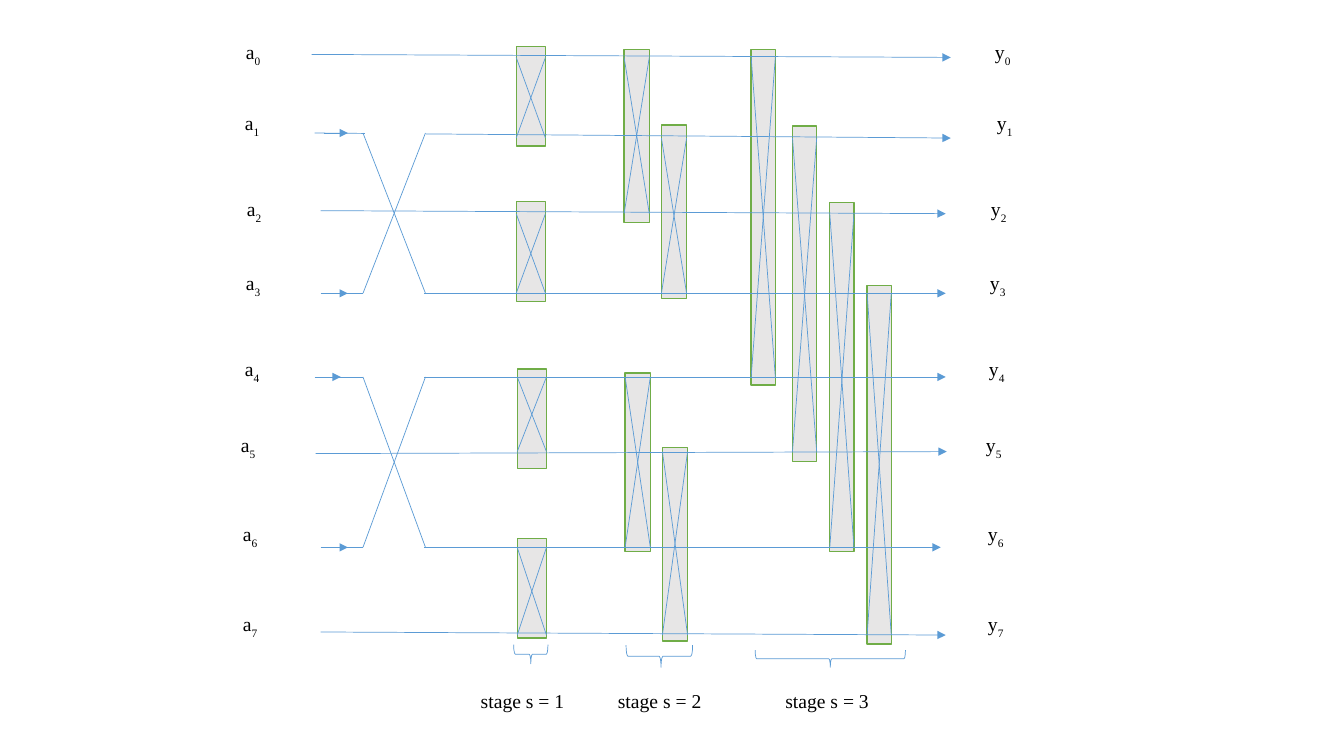
from lxml import etree
from pptx import Presentation
from pptx.dml.color import RGBColor
from pptx.enum.shapes import MSO_CONNECTOR, MSO_SHAPE
from pptx.enum.text import MSO_ANCHOR
from pptx.oxml.ns import qn
from pptx.util import Inches, Pt

COLORS = {"wire": "5B9BD5", "edge": "70AD47", "box": "E7E6E6",
          "white": "FFFFFF", "text": "000000"}

# Wires: left end x, y and right end x, y
WIRES = [
    (3.09, 0.54, 9.43, 0.57), (3.12, 1.32, 9.43, 1.37),
    (3.18, 2.09, 9.38, 2.12), (3.18, 2.91, 9.38, 2.91),
    (3.12, 3.74, 9.38, 3.74), (3.13, 4.5, 9.39, 4.48),
    (3.18, 5.43, 9.33, 5.43), (3.18, 6.27, 9.38, 6.3),
]
# Labels: left, top, distance to the output name
LABELS = [
    (2.34, 0.36, 7.43), (2.33, 1.07, 7.46), (2.35, 1.92, 7.38),
    (2.34, 2.66, 7.38), (2.33, 3.51, 7.38), (2.29, 4.26, 7.39),
    (2.31, 5.15, 7.39), (2.31, 6.04, 7.39),
]
# Stages: box width, then left, top, height of each box
STAGES = [
    (0.29, [(5.12, 0.46, 0.99), (5.12, 2, 0.99),
            (5.13, 3.66, 0.99), (5.13, 5.34, 0.99)]),
    (0.25, [(6.19, 0.49, 1.72), (6.56, 1.24, 1.72),
            (6.2, 3.7, 1.77), (6.57, 4.44, 1.92)]),
    (0.24, [(7.45, 0.49, 3.33), (7.86, 1.25, 3.33),
            (8.23, 2.01, 3.46), (8.6, 2.83, 3.56)]),
]
MASKS = [(3.63, 1.19, 0.59, 0.26), (3.61, 2.75, 0.59, 1.21),
         (3.61, 5.27, 0.59, 0.32)]
ARROWS = [(1, 3.21, 3.45), (3, 3.34, 3.45), (4, 3.21, 3.38), (6, 3.34, 3.45)]
SWAPS = [(1, 3), (4, 6)]
BRACES = [((5.17, 6.32, 0.19, 0.34), 0.5), ((6.43, 6.18, 0.22, 0.66), 0.526),
          ((8.15, 5.79, 0.17, 1.49), 0.5)]


class Sketch:
    font = "Times New Roman"
    size = Pt(14)

    def __init__(self, slide):
        self.slide = slide

    def rgb(self, name):
        return RGBColor.from_string(COLORS[name])

    def shape(self, kind, at, edge, weight, fill=None):
        item = self.slide.shapes.add_shape(kind, *map(Inches, at))
        item.shadow.inherit = False
        if fill:
            item.fill.solid()
            item.fill.fore_color.rgb = self.rgb(fill)
        else:
            item.fill.background()
        item.line.color.rgb = self.rgb(edge)
        item.line.width = Pt(weight)
        return item

    def rect(self, at, edge, fill):
        self.shape(MSO_SHAPE.RECTANGLE, at, edge, 1, fill)

    def brace(self, at, tip):
        item = self.shape(MSO_SHAPE.LEFT_BRACE, at, "wire", 0.5)
        item.adjustments[0] = 0.083
        item.adjustments[1] = tip
        item.rotation = 270

    def line(self, x1, y1, x2, y2, arrow=False):
        item = self.slide.shapes.add_connector(
            MSO_CONNECTOR.STRAIGHT, *map(Inches, (x1, y1, x2, y2)))
        item.line.color.rgb = self.rgb("wire")
        item.line.width = Pt(0.5)
        props = item.line._get_or_add_ln()
        if arrow:
            etree.SubElement(props, qn("a:tailEnd"), type="triangle")
        etree.SubElement(item._element.spPr, qn("a:effectLst"))

    def cross(self, x1, y1, x2, y2):
        self.line(x1, y1, x2, y2)
        self.line(x1, y2, x2, y1)

    def text(self, at, tabs, runs):
        """Write one line of (text, is subscript) runs with tab stops."""
        frame = self.slide.shapes.add_textbox(*map(Inches, at)).text_frame
        frame.word_wrap = True
        frame.vertical_anchor = MSO_ANCHOR.MIDDLE
        para = frame.paragraphs[0]
        stops = etree.SubElement(para._p.get_or_add_pPr(), qn("a:tabLst"))
        for tab in tabs:
            etree.SubElement(stops, qn("a:tab"), pos=str(Inches(tab)), algn="l")
        para.font.name = self.font
        para.font.size = self.size
        para.font.color.rgb = self.rgb("text")
        for words, sub in runs:
            run = para.add_run()
            run.text = words
            if sub:
                run._r.get_or_add_rPr().set("baseline", "-30000")


def main():
    deck = Presentation()
    deck.slide_width, deck.slide_height = Inches(13.33), Inches(7.5)
    draw = Sketch(deck.slides.add_slide(deck.slide_layouts[6]))

    for width, boxes in STAGES:
        for left, top, height in boxes:
            draw.rect((left, top, width, height), "edge", "box")
    for wire in WIRES:
        draw.line(*wire, arrow=True)
    for mask in MASKS:
        draw.rect(mask, "white", "white")
    for row, start, end in ARROWS:
        y = WIRES[row][1]
        draw.line(start, y, end, y, arrow=True)
    for upper, lower in SWAPS:
        draw.cross(3.6, WIRES[upper][1], 4.22, WIRES[lower][1])

    # Each stage pairs rows that lie 1, 2 and 4 apart
    for stage, (width, boxes) in enumerate(STAGES):
        span = 2 ** stage
        rows = [row for row in range(len(WIRES)) if not row & span]
        for row, (left, _, _) in zip(rows, boxes):
            draw.cross(left, WIRES[row][3], left + width, WIRES[row + span][3])

    for at, tip in BRACES:
        draw.brace(at, tip)
    for row, (left, top, tab) in enumerate(LABELS):
        index = str(row)
        draw.text((left, top, 7.88, 0.34), [tab],
                  [("a", False), (index, True), ("\ty", False), (index, True)])
    stages = "\t".join(f"stage s = {number}" for number in (1, 2, 3))
    draw.text((4.67, 6.78, 4.14, 0.34), [1.36, 3.02], [(stages, False)])
    deck.save("out.pptx")


if __name__ == "__main__":
    main()
